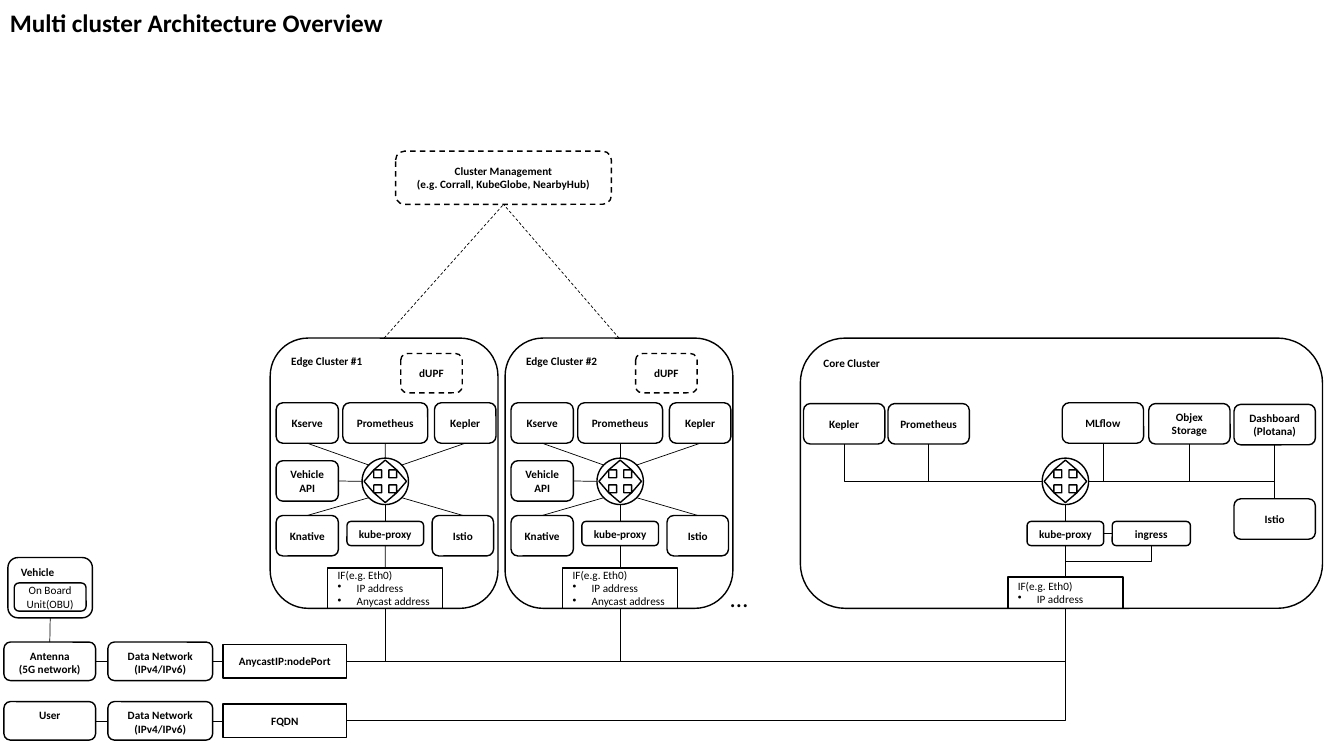
from lxml import etree
from pptx import Presentation
from pptx.dml.color import RGBColor
from pptx.enum.dml import MSO_LINE
from pptx.enum.shapes import MSO_CONNECTOR, MSO_SHAPE
from pptx.enum.text import MSO_ANCHOR, PP_ALIGN
from pptx.oxml.ns import qn
from pptx.util import Cm, Pt

COLORS = {"ink": "000000"}
INK = RGBColor.from_string(COLORS["ink"])
FONT = "Calibri"
ROUND, RECT = MSO_SHAPE.ROUNDED_RECTANGLE, MSO_SHAPE.RECTANGLE
OVAL, QUAD = MSO_SHAPE.OVAL, MSO_SHAPE.QUAD_ARROW
STRAIGHT = MSO_CONNECTOR.STRAIGHT
TOP, MIDDLE = MSO_ANCHOR.TOP, MSO_ANCHOR.MIDDLE
LEFT, CENTER = PP_ALIGN.LEFT, PP_ALIGN.CENTER
DASH = MSO_LINE.DASH
N, W, S, E = 0, 1, 2, 3  # connection sites of a rectangle
HUB = 1.17  # hub diameter


def write(sp, lines, size=8, bold=True, align=CENTER):
    tf = sp.text_frame
    tf.text = "\n".join(lines)
    for p in tf.paragraphs:
        p.alignment = align
        for r in p.runs:
            r.font.name, r.font.size, r.font.bold = FONT, Pt(size), bold
            r.font.color.rgb = INK


def shape(shapes, kind, x, y, w, h, dash=None):
    sp = shapes.add_shape(kind, Cm(x), Cm(y), Cm(w), Cm(h))
    sp.shadow.inherit = False
    sp.fill.background()
    sp.line.color.rgb, sp.line.width = INK, Pt(1)
    if dash:
        sp.line.dash_style = dash
    return sp


def box(shapes, x, y, w, h, *lines, kind=ROUND, anchor=MIDDLE, dash=None,
        bold=True, align=CENTER):
    sp = shape(shapes, kind, x, y, w, h, dash)
    sp.text_frame.word_wrap = True
    sp.text_frame.vertical_anchor = anchor
    write(sp, lines, bold=bold, align=align)
    return sp


def label(shapes, x, y, w, h, text, bold, wrap):
    sp = shapes.add_textbox(Cm(x), Cm(y), Cm(w), Cm(h))
    sp.text_frame.word_wrap = wrap
    write(sp, [text], 18, bold, LEFT)


def link(shapes, start, end, bent=False, dash=None):
    """Join two ends, each either an (x, y) point in cm or a (shape, site) pair."""
    glued = [not isinstance(e[0], (int, float)) for e in (start, end)]
    x1, y1 = (0, 0) if glued[0] else start
    x2, y2 = (0, 0) if glued[1] else end
    c = shapes.add_connector(STRAIGHT, Cm(x1), Cm(y1), Cm(x2), Cm(y2))
    if glued[0]:
        c.begin_connect(*start)
    if glued[1]:
        c.end_connect(*end)
    c.line.color.rgb, c.line.width = INK, Pt(0.5)
    if dash:
        c.line.dash_style = dash
    spPr = c._element.spPr
    if bent:  # one corner: horizontal first, then vertical
        spPr.find(qn("a:prstGeom")).set("prst", "bentConnector2")
    etree.SubElement(spPr, qn("a:effectLst"))


def hub(shapes, cx, cy):
    group = shapes.add_group_shape().shapes
    size = 1.07
    arrows = shape(group, QUAD, cx - size / 2, cy - size / 2, size, size)
    for i, value in enumerate((0.17, 0.27, 0.23)):
        arrows.adjustments[i] = value
    shape(group, OVAL, cx - HUB / 2, cy - HUB / 2, HUB, HUB)


def proxy_chain(shapes, cx, y, hub_y, if_y, if_h, addresses):
    """Hub, kube-proxy and interface, stacked on one vertical axis."""
    hub(shapes, cx, hub_y)
    proxy = box(shapes, cx - 0.965, y + 4.62, 1.93, 0.61, "kube-proxy")
    iface = box(shapes, cx - 1.45, if_y, 2.9, if_h, "IF(e.g. Eth0)", *addresses,
                kind=RECT, bold=False, align=LEFT)
    for p in iface.text_frame.paragraphs[1:]:
        pPr = p._p.get_or_add_pPr()
        pPr.set("marL", str(Cm(0.48)))
        pPr.set("indent", str(-Cm(0.48)))
        etree.SubElement(pPr, qn("a:buChar"), char="•")
    link(shapes, (cx, hub_y + HUB / 2), (proxy, N))
    link(shapes, (proxy, S), (iface, N))
    return proxy, iface


def edge_cluster(shapes, x, y, w, h, number):
    frame = box(shapes, x, y, w, h, f"Edge Cluster #{number}", anchor=TOP, align=LEFT)
    cx, cy = x + 2.9, y + 3.61
    _, iface = proxy_chain(shapes, cx, y, cy, y + h - 1.02, 1.02,
                           ["IP address", "Anycast address"])
    box(shapes, x + 3.29, y + 0.39, 1.55, 0.99, "dUPF", dash=DASH)
    # Services: name, left, top, width, side, direction of the hub end
    d, r = 0.41, HUB / 2
    for name, dx, dy, bw, side, hx, hy in (
            ("Kserve", 0.15, 1.63, 1.57, S, -d, -d),
            ("Prometheus", 1.83, 1.63, 2.14, S, 0, -r),
            ("Kepler", 4.14, 1.63, 1.55, S, d, -d),
            ("Vehicle API", 0.15, 3.09, 1.57, E, -r, 0),
            ("Knative", 0.15, 4.47, 1.57, N, -d, d),
            ("Istio", 4.08, 4.47, 1.55, N, d, d)):
        sp = box(shapes, x + dx, y + dy, bw, 1.02, name)
        link(shapes, (cx + hx, cy + hy), (sp, side))
    return frame, iface


def core_cluster(shapes, x, y, w, h):
    box(shapes, x, y, w, h, "Core Cluster", anchor=TOP, align=LEFT)
    cx, cy = x + 6.68, y + 3.61
    proxy, iface = proxy_chain(shapes, cx, y, cy, y + h - 0.79, 0.79, ["IP address"])
    # Services: lines, left, top, side, side of the hub
    for lines, dx, dy, side, sign in (
            (["Kepler"], 0.08, 1.65, S, -1),
            (["Prometheus"], 2.21, 1.65, S, -1),
            (["MLflow"], 6.6, 1.63, S, 1),
            (["Objex Storage"], 8.78, 1.65, S, 1),
            (["Dashboard", "(Plotana)"], 10.93, 1.67, S, 1),
            (["Istio"], 10.93, 4.05, N, 1)):
        sp = box(shapes, x + dx, y + dy, 2.05, 1.02, *lines)
        link(shapes, (cx + sign * HUB / 2, cy), (sp, side), bent=True)
    ingress = box(shapes, x + 7.86, y + 4.62, 1.97, 0.61, "ingress")
    link(shapes, (proxy, E), (ingress, W))
    link(shapes, (cx, y + 5.62), (ingress, S), bent=True)
    return iface


def access_row(shapes, x, y, h, source, address):
    first = box(shapes, x, y, 2.31, h, *source, anchor=TOP)
    network = box(shapes, x + 2.62, y, 2.64, h, "Data Network", "(IPv4/IPv6)", anchor=TOP)
    port = box(shapes, x + 5.52, y + (h - 0.84) / 2, 3.12, 0.84, address, kind=RECT)
    link(shapes, (first, E), (network, W))
    link(shapes, (network, E), (port, W))
    return first, port


def vehicle(shapes, x, y, w, h):
    group = shapes.add_group_shape().shapes
    frame = box(group, x, y, w, h, "Vehicle", anchor=TOP, align=LEFT)
    box(group, x + 0.16, y + 0.64, 1.81, 0.71, "On Board Unit(OBU)", bold=False)
    return frame


def main():
    prs = Presentation()
    prs.slide_width, prs.slide_height = Cm(33.87), Cm(19.05)
    s = prs.slides.add_slide(prs.slide_layouts[6])
    shapes = s.shapes

    label(shapes, 0, 0.05, 16.94, 1.02, "Multi cluster Architecture Overview", True, True)

    # Clusters and their management
    manager = box(shapes, 9.97, 3.81, 5.44, 1.34, "Cluster Management",
                  "(e.g. Corrall, KubeGlobe, NearbyHub)", dash=DASH)
    top, height = 8.52, 6.81
    interfaces = []
    for i in range(2):
        frame, iface = edge_cluster(shapes, 6.81 + i * 5.92, top, 5.74, height, i + 1)
        link(shapes, (frame, N), (manager, S), dash=DASH)
        interfaces.append(iface)
    label(shapes, 18.16, 14.55, 0.97, 1.02, "…", False, False)
    core = core_cluster(shapes, 20.17, top, 13.16, height)

    # Access networks
    antenna, anycast = access_row(shapes, 0.1, 16.18, 0.97,
                                  ["Antenna", "(5G network)"], "AnycastIP:nodePort")
    _, fqdn = access_row(shapes, 0.1, 17.68, 0.97, ["User"], "FQDN")
    car = vehicle(shapes, 0.2, 14.05, 2.13, 1.52)
    link(shapes, (car, S), (antenna, N))
    for iface in interfaces + [core]:
        link(shapes, (anycast, E), (iface, S), bent=True)
    link(shapes, (fqdn, E), (core, S), bent=True)

    prs.save("out.pptx")


if __name__ == "__main__":
    main()
